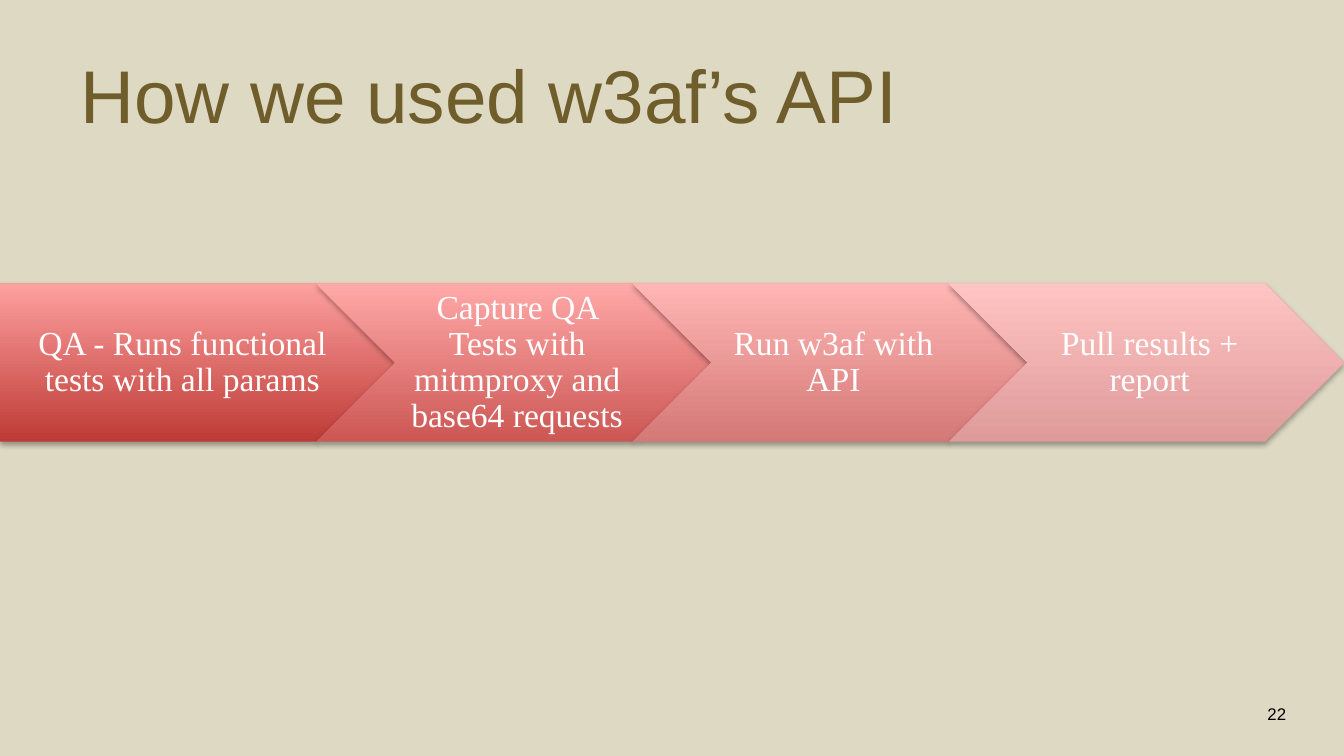
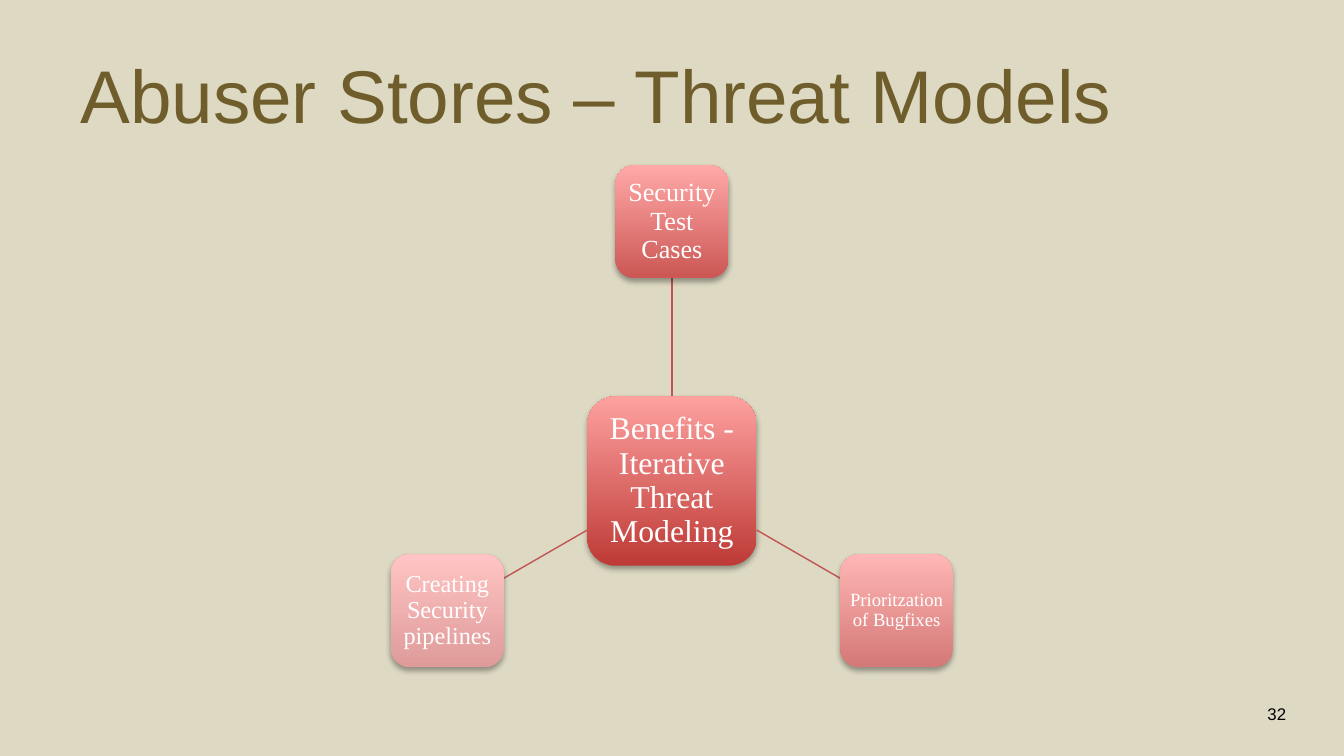
"""Build two slides: a process of four arrows and a hub with three satellites."""
from math import cos, radians, sin

from lxml import etree
from pptx import Presentation
from pptx.dml.color import RGBColor
from pptx.enum.shapes import MSO_CONNECTOR as Connector, MSO_SHAPE as Shape
from pptx.enum.text import MSO_ANCHOR as Anchor, PP_ALIGN as Align
from pptx.oxml import parse_xml
from pptx.oxml.ns import nsdecls, qn
from pptx.util import Inches, Pt

BACKGROUND = RGBColor(0xDD, 0xD9, 0xC3)
TITLE_COLOR = RGBColor(0x6F, 0x5D, 0x2B)
BLACK = RGBColor(0x00, 0x00, 0x00)
WHITE = RGBColor(0xFF, 0xFF, 0xFF)
LINK_COLOR = RGBColor(0xC1, 0x54, 0x52)
GRADIENTS = [
    (RGBColor(0xBE, 0x3A, 0x36), RGBColor(0xFD, 0xA1, 0x9F)),
    (RGBColor(0xCC, 0x57, 0x54), RGBColor(0xFF, 0xA9, 0xA8)),
    (RGBColor(0xD4, 0x79, 0x77), RGBColor(0xFF, 0xB6, 0xB4)),
    (RGBColor(0xDE, 0x9B, 0x9A), RGBColor(0xFF, 0xC4, 0xC3)),
]
TITLE_FONT = "Arial"
DIAGRAM_FONT = "Times New Roman"
WIDTH = 10
HEIGHT = WIDTH * 9 / 16
SHADOW = (
    f'<a:outerShdw {nsdecls("a")} blurRad="40000" dist="23000" dir="5400000" rotWithShape="0">'
    '<a:srgbClr val="000000"><a:alpha val="35000"/></a:srgbClr></a:outerShdw>'
)


def add_text(slide, box, text, size, color, font=TITLE_FONT, align=Align.CENTER,
             anchor=Anchor.MIDDLE, insets=(0.1, 0.05, 0.1, 0.05), spacing=1.0):
    frame = slide.shapes.add_textbox(*map(Inches, box)).text_frame
    frame.word_wrap = True
    frame.vertical_anchor = anchor
    (frame.margin_left, frame.margin_top,
     frame.margin_right, frame.margin_bottom) = map(Inches, insets)
    paragraph = frame.paragraphs[0]
    paragraph.text = text
    paragraph.alignment = align
    paragraph.line_spacing = spacing
    paragraph.font.name = font
    paragraph.font.size = Pt(size)
    paragraph.font.color.rgb = color


def add_node(slide, kind, box, gradient, text_box, text, size, insets):
    shape = slide.shapes.add_shape(kind, *map(Inches, box))
    shape.fill.gradient()
    shape.fill.gradient_angle = 90
    for stop, color in zip(shape.fill.gradient_stops, gradient):
        stop.color.rgb = color
    shape.line.fill.background()
    shape.shadow.inherit = False
    shape.element.spPr.find(qn("a:effectLst")).append(parse_xml(SHADOW))
    add_text(slide, text_box, text, size, WHITE, DIAGRAM_FONT, insets=insets, spacing=0.9)


presentation = Presentation()
presentation.slide_width = Inches(WIDTH)
presentation.slide_height = Inches(HEIGHT)

slides = []
for title, number in [("How we used w3af’s API", "22"), ("Abuser Stores – Threat Models", "32")]:
    slide = presentation.slides.add_slide(presentation.slide_layouts[6])
    slide.background.fill.solid()
    slide.background.fill.fore_color.rgb = BACKGROUND
    add_text(slide, (0.5, 0.23, WIDTH - 1, 0.94), title, 40, TITLE_COLOR, align=Align.LEFT)
    add_text(slide, (9.07, 5.19, 0.86, 0.3), number, 9, BLACK, anchor=Anchor.TOP)
    slides.append(slide)
process_slide, hub_slide = slides

column = WIDTH / 17
arrow_top, arrow_height = 2.11, 2 * column
steps = [
    "QA - Runs functional tests with all params",
    "Capture QA Tests with mitmproxy and base64 requests",
    "Run w3af with API",
    "Pull results + report",
]
for index, (step, gradient) in enumerate(zip(steps, GRADIENTS)):
    left = 4 * column * index
    if index == 0:
        kind, text_left, text_width, inset = Shape.PENTAGON, left, 4.5 * column, 0.1
    else:
        kind, text_left, text_width, inset = Shape.CHEVRON, left + column, 3 * column, 0.08
    add_node(process_slide, kind, (left, arrow_top, 5 * column, arrow_height), gradient,
             (text_left, arrow_top, text_width, arrow_height), step, 18,
             (inset, 0.05, 0.03, 0.05))

center_x, center_y, radius = WIDTH / 2, 3.58, 1.93
hub_size, satellite_size = 1.26, 0.84
nodes = [
    ("Benefits - Iterative Threat Modeling", 17, 0.05, hub_size, None),
    ("Security Test Cases", 14, 0.04, satellite_size, -90),
    ("Prioritzation of Bugfixes", 10, 0.03, satellite_size, 30),
    ("Creating Security pipelines", 13, 0.04, satellite_size, 150),
]
for (text, font_size, inset, size, angle), gradient in zip(nodes, GRADIENTS):
    x, y = center_x, center_y
    if angle is not None:
        across, down = cos(radians(angle)), sin(radians(angle))
        x, y = center_x + radius * across, center_y + radius * down
        reach = 2 * max(abs(across), abs(down))
        start, end = hub_size / reach, radius - satellite_size / reach
        link = hub_slide.shapes.add_connector(
            Connector.STRAIGHT,
            Inches(center_x + start * across), Inches(center_y + start * down),
            Inches(center_x + end * across), Inches(center_y + end * down))
        link.line.color.rgb = LINK_COLOR
        link.line.width = Pt(0.75)
        etree.SubElement(link.element.spPr, qn("a:effectLst"))
    text_size = 0.9 * size
    add_node(hub_slide, Shape.ROUNDED_RECTANGLE, (x - size / 2, y - size / 2, size, size), gradient,
             (x - text_size / 2, y - text_size / 2, text_size, text_size), text, font_size,
             (inset,) * 4)

presentation.save("out.pptx")
